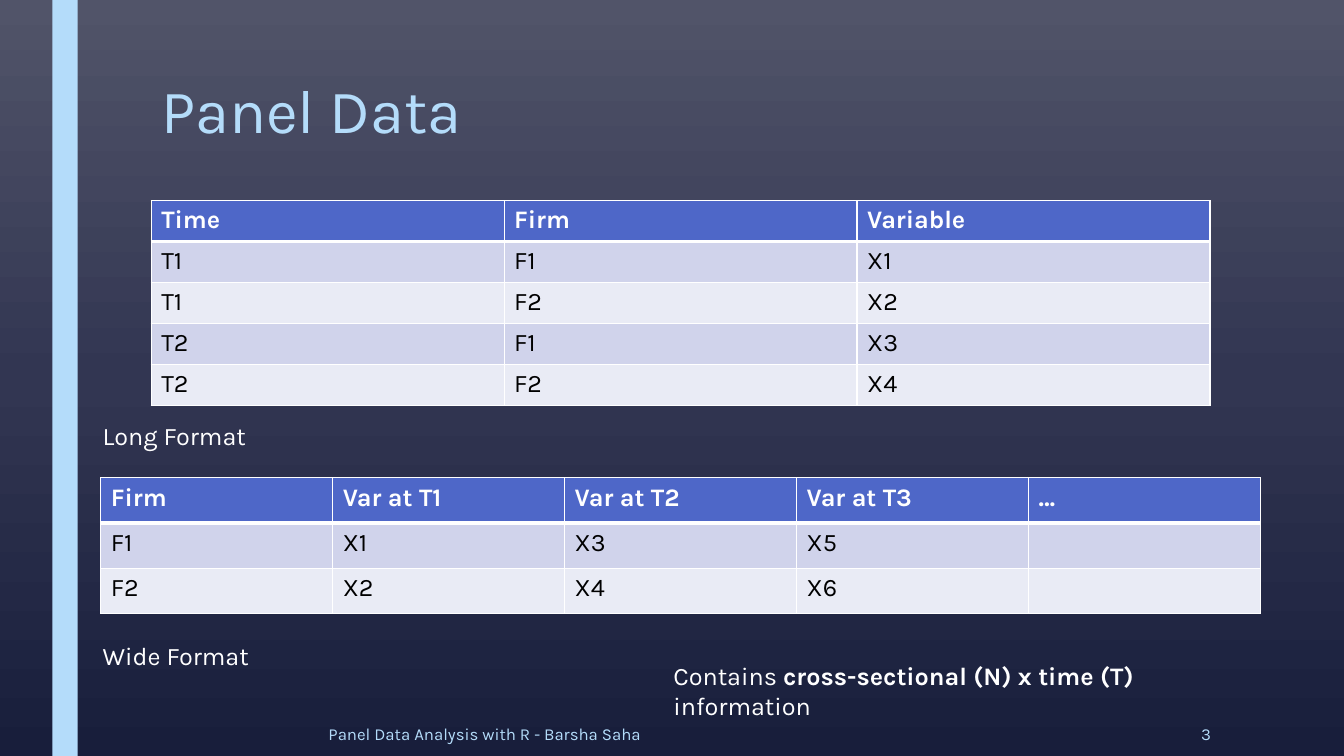
from copy import deepcopy

from lxml import etree
from pptx import Presentation
from pptx.dml.color import RGBColor
from pptx.enum.shapes import MSO_SHAPE
from pptx.enum.text import MSO_ANCHOR, PP_ALIGN
from pptx.oxml.ns import qn
from pptx.util import Inches, Pt

RECTANGLE = MSO_SHAPE.RECTANGLE
TOP, MIDDLE = MSO_ANCHOR.TOP, MSO_ANCHOR.MIDDLE
LEFT, RIGHT = PP_ALIGN.LEFT, PP_ALIGN.RIGHT

FONT = "Karla"
COLORS = {
    "sky": "B4DCFA",
    "white": "FFFFFF",
    "black": "000000",
    "header": "4E67C8",
    "odd": "D0D3EB",
    "even": "E9EBF5",
}
BACKDROP = [(0, "515469"), (0.5, "323652"), (1, "181E3B")]
STRIPE = (0.52, 0, 0.25, 7.5)

LONG_FORMAT = [
    ("Time", "Firm", "Variable"),
    ("T1", "F1", "X1"),
    ("T1", "F2", "X2"),
    ("T2", "F1", "X3"),
    ("T2", "F2", "X4"),
]
WIDE_FORMAT = [
    ("Firm", "Var at T1", "Var at T2", "Var at T3", "…"),
    ("F1", "X1", "X3", "X5", ""),
    ("F2", "X2", "X4", "X6", ""),
]
TABLES = [
    (LONG_FORMAT, (1.5, 1.99, 10.5, 2.03)),
    (WIDE_FORMAT, (1, 4.74, 11.5, 1.35)),
]

TITLE = {"size": 44, "color": "sky", "spacing": 0.89}
BODY = {"size": 18, "color": "white"}
FOOTER = {"size": 12, "color": "sky", "anchor": MIDDLE}
TEXTS = [
    ([("Panel Data", False)], (1.5, 0.75, 10.5, 1.62), TITLE),
    ([("Long Format", False)], (0.92, 4.12, 3.83, 0.4), BODY),
    ([("Wide Format", False)], (0.92, 6.3, 2.43, 0.4), BODY),
    (
        [("Contains ", False), ("cross-sectional (N) x time (T)", True), (" information", False)],
        (6.58, 6.5, 5.68, 0.4),
        BODY,
    ),
    ([("Panel Data Analysis with R - Barsha Saha", False)], (3.16, 7.06, 6.87, 0.44), FOOTER),
    ([("3", False)], (10.36, 7.06, 1.75, 0.44), {**FOOTER, "align": RIGHT}),
]


def rgb(name):
    return RGBColor.from_string(COLORS[name])


def inches(box):
    return [Inches(length) for length in box]


def write(paragraph, words, size, color, bold):
    run = paragraph.add_run()
    run.text = words
    for attribute, value in {"name": FONT, "size": Pt(size), "bold": bold}.items():
        setattr(run.font, attribute, value)
    run.font.color.rgb = rgb(color)


def paint_backdrop(slide):
    fill = slide.background.fill
    fill.gradient()
    fill.gradient_angle = 270
    stop_list = slide.element.find(".//" + qn("a:gsLst"))
    stop_list.append(deepcopy(stop_list[-1]))
    for stop, (position, color) in zip(fill.gradient_stops, BACKDROP):
        stop.position = position
        stop.color.rgb = RGBColor.from_string(color)


def add_stripe(slide):
    stripe = slide.shapes.add_shape(RECTANGLE, *inches(STRIPE))
    stripe.shadow.inherit = False
    stripe.fill.solid()
    stripe.fill.fore_color.rgb = rgb("sky")
    stripe.line.fill.background()


def add_text(slide, runs, box, style):
    frame = slide.shapes.add_textbox(*inches(box)).text_frame
    frame.word_wrap = True
    frame.vertical_anchor = style.get("anchor", TOP)
    paragraph = frame.paragraphs[0]
    paragraph.alignment = style.get("align", LEFT)
    paragraph.line_spacing = style.get("spacing", 1.0)
    for words, bold in runs:
        write(paragraph, words, style["size"], style["color"], bold)


def add_borders(cell, row):
    widths = {"lnL": 1, "lnR": 1, "lnT": 3 if row == 1 else 1, "lnB": 3 if row == 0 else 1}
    properties = cell._tc.get_or_add_tcPr()
    for order, (side, width) in enumerate(widths.items()):
        border = etree.Element(qn("a:" + side), w=str(Pt(width)))
        paint = etree.SubElement(border, qn("a:solidFill"))
        etree.SubElement(paint, qn("a:srgbClr"), val=COLORS["white"])
        properties.insert(order, border)


def add_data_table(slide, rows, box):
    table = slide.shapes.add_table(len(rows), len(rows[0]), *inches(box)).table
    for r, values in enumerate(rows):
        band = "header" if r == 0 else "odd" if r % 2 else "even"
        for c, words in enumerate(values):
            cell = table.cell(r, c)
            cell.fill.solid()
            cell.fill.fore_color.rgb = rgb(band)
            add_borders(cell, r)
            if words:
                color = "white" if r == 0 else "black"
                write(cell.text_frame.paragraphs[0], words, 18, color, r == 0)


def main():
    deck = Presentation()
    deck.slide_width, deck.slide_height = Inches(13.33), Inches(7.5)
    slide = deck.slides.add_slide(deck.slide_layouts[6])
    paint_backdrop(slide)
    add_stripe(slide)
    for rows, box in TABLES:
        add_data_table(slide, rows, box)
    for runs, box, style in TEXTS:
        add_text(slide, runs, box, style)
    deck.save("out.pptx")


if __name__ == "__main__":
    main()
